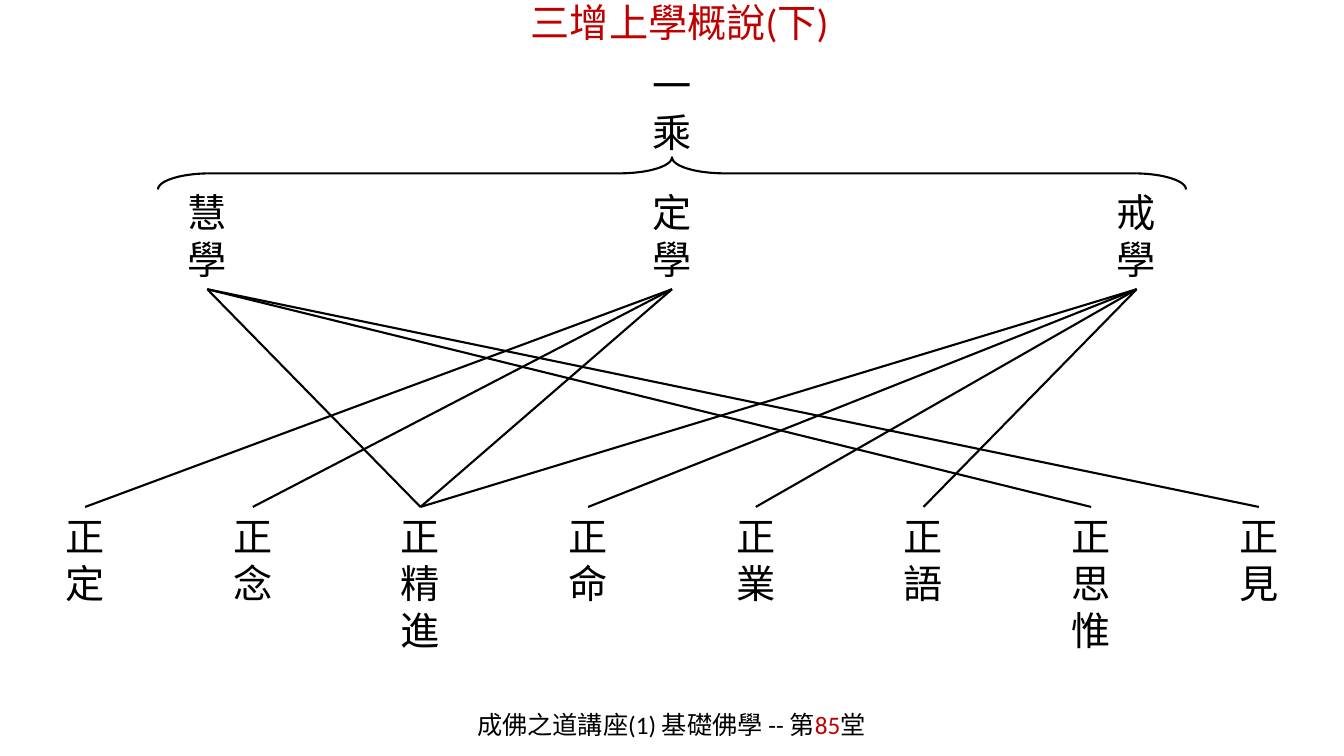
from dataclasses import dataclass

from lxml.etree import SubElement
from pptx import Presentation
from pptx.dml.color import RGBColor
from pptx.enum.shapes import MSO_CONNECTOR, MSO_SHAPE
from pptx.enum.text import MSO_ANCHOR, MSO_AUTO_SIZE, PP_ALIGN
from pptx.oxml import parse_xml
from pptx.oxml.ns import nsdecls, qn
from pptx.util import Pt


@dataclass(frozen=True)
class Theme:
    """Colours, fonts and sizes of the slide."""
    ink: RGBColor = RGBColor(0, 0, 0)
    accent: RGBColor = RGBColor(0xC0, 0, 0)
    latin: str = "Calibri"
    cjk: str = "Noto Sans CJK SC"
    large: float = 28
    small: float = 18
    leading: float = 33.6
    stroke: float = 1.5


THEME = Theme()
VEHICLE = "一乘"
TRAININGS = ["慧學", "定學", "戒學"]
PATHS = ["正定", "正念", "正精進", "正命", "正業", "正語", "正思惟", "正見"]
LINKS = {
    "慧學": ["正見", "正思惟", "正精進"],
    "定學": ["正定", "正念", "正精進"],
    "戒學": ["正精進", "正命", "正業", "正語"],
}
SHADOW = (
    f'<a:effectLst {nsdecls("a")}>'
    '<a:outerShdw blurRad="38100" dist="38100" dir="2700000" algn="tl">'
    '<a:srgbClr val="000000"><a:alpha val="43000"/></a:srgbClr>'
    '</a:outerShdw></a:effectLst>'
)


def add_text(s, box, paragraphs, *, size=THEME.large, font=THEME.latin,
             align=PP_ALIGN.LEFT, anchor=MSO_ANCHOR.TOP, wrap=False,
             grow=False, leading=None, indent=0, shadow=False):
    """Add a text box whose paragraphs are lists of (text, colour) runs."""
    tf = s.shapes.add_textbox(*map(Pt, box)).text_frame
    tf.word_wrap = wrap
    tf.auto_size = MSO_AUTO_SIZE.SHAPE_TO_FIT_TEXT if grow else MSO_AUTO_SIZE.NONE
    tf.vertical_anchor = anchor
    for i, runs in enumerate(paragraphs):
        p = tf.add_paragraph() if i else tf.paragraphs[0]
        p.alignment = align
        if leading:
            p.line_spacing = Pt(leading)
        if indent:
            pPr = p._p.get_or_add_pPr()
            pPr.set("marL", "0")
            pPr.set("indent", str(Pt(indent)))
        for text, color in runs:
            r = p.add_run()
            r.text = text
            r.font.size = Pt(size)
            r.font.color.rgb = color
            r.font.name = font
            rPr = r._r.get_or_add_rPr()
            latin = rPr.find(qn("a:latin"))
            latin.addnext(latin.makeelement(qn("a:ea"), {"typeface": font}))
            if shadow:
                latin.addprevious(parse_xml(SHADOW))


def add_title(s, box):
    """Add the shadowed red title."""
    add_text(s, box, [[("三增上學概說(下)", THEME.accent)]],
             align=PP_ALIGN.CENTER, anchor=MSO_ANCHOR.MIDDLE,
             leading=20, indent=12, shadow=True)


def add_footer(s, box):
    """Add the shadowed lecture name and number."""
    runs = [("成佛之道講座(1) 基礎佛學 -- 第", THEME.ink),
            ("85", THEME.accent), ("堂", THEME.ink)]
    add_text(s, box, [runs], size=THEME.small, align=PP_ALIGN.CENTER,
             anchor=MSO_ANCHOR.MIDDLE, wrap=True, shadow=True)


def add_term(s, center, top, term):
    """Add a term written downwards, one character a line."""
    width = THEME.large + 14.4
    height = THEME.leading * len(term) + 7.2
    add_text(s, (center - width / 2, top, width, height),
             [[(char, THEME.ink)] for char in term],
             font=THEME.cjk, grow=True, leading=THEME.leading)


def add_line(s, start, end):
    """Add a plain straight line."""
    line = s.shapes.add_connector(MSO_CONNECTOR.STRAIGHT, *map(Pt, (*start, *end)))
    line.line.color.rgb = THEME.ink
    line.line.width = Pt(THEME.stroke)
    SubElement(line._element.spPr, qn("a:effectLst"))


def add_brace(s, box):
    """Add a brace lying across the box with its tip upwards."""
    left, top, width, height = box
    sp = s.shapes.add_shape(
        MSO_SHAPE.RIGHT_BRACE, Pt(left + (width - height) / 2),
        Pt(top + (height - width) / 2), Pt(height), Pt(width))
    sp.rotation = 270
    sp.adjustments[0] = 1.644
    sp.adjustments[1] = 0.5
    sp.shadow.inherit = False
    sp.fill.background()
    sp.line.color.rgb = THEME.ink
    sp.line.width = Pt(THEME.stroke)


def spread(terms, center, pitch):
    """Return the centre of each term, evenly spaced about a middle."""
    return {term: center + pitch * (i - (len(terms) - 1) / 2)
            for i, term in enumerate(terms)}


def add_diagram(s, box):
    """Add the vehicle, the trainings and the paths they join to."""
    left, top, width, height = box
    middle = left + width / 2
    trainings = spread(TRAININGS, middle, width * 0.3772)
    paths = spread(PATHS, middle, width * 0.1361)
    training_top, link_top, path_top = top + 91, top + 166.3, top + 321.8
    for training, linked in LINKS.items():
        for path_term in linked:
            add_line(s, (trainings[training], link_top),
                     (paths[path_term], path_top))
    add_term(s, middle, top, VEHICLE)
    for term, center in trainings.items():
        add_term(s, center, training_top, term)
    for term, center in paths.items():
        add_term(s, center, path_top, term)
    brace_width = width * 0.8345
    add_brace(s, (middle - brace_width / 2, top + 72, brace_width, 23))


def main():
    """Build and save the slide."""
    prs = Presentation()
    prs.slide_width, prs.slide_height = Pt(960), Pt(540)
    s = prs.slides.add_slide(prs.slide_layouts[6])
    add_footer(s, (332.6, 501.8, 293.8, 31.7))
    add_title(s, (25.2, -7.9, 908.6, 61.2))
    add_diagram(s, (40, 40.3, 880, 430))
    prs.save("out.pptx")


if __name__ == "__main__":
    main()
